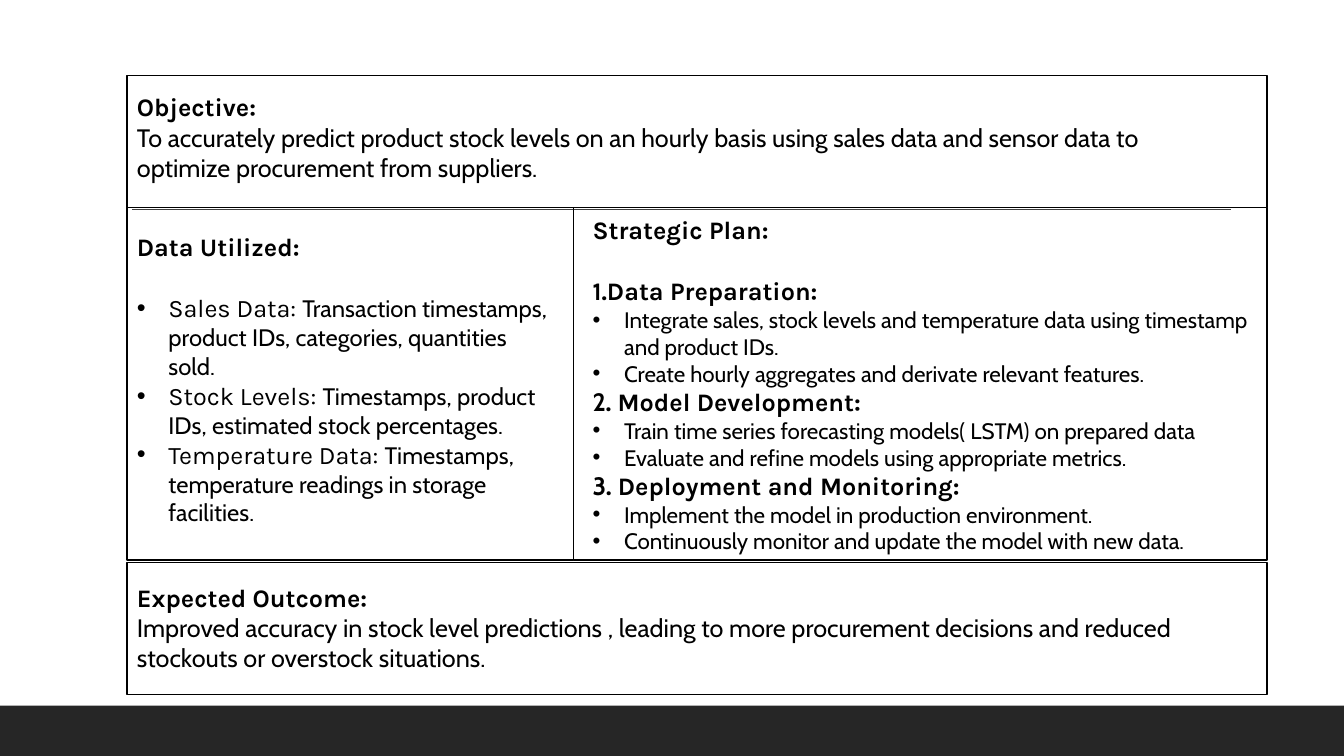
from collections import namedtuple
from dataclasses import dataclass

from lxml.etree import SubElement
from pptx import Presentation
from pptx.dml.color import RGBColor
from pptx.enum.shapes import MSO_CONNECTOR, MSO_SHAPE
from pptx.enum.text import MSO_ANCHOR, MSO_AUTO_SIZE, PP_ALIGN
from pptx.oxml.ns import qn
from pptx.util import Pt

Box = namedtuple("Box", "left top width height")


@dataclass(frozen=True)
class Theme:
    ink: RGBColor = RGBColor(0, 0, 0)
    rule: RGBColor = RGBColor(0x40, 0x40, 0x40)
    footer: RGBColor = RGBColor(0x26, 0x26, 0x26)
    border_width: float = 1.25
    rule_width: float = 1
    bullet_indent: float = 22.5
    blank_line: float = 22


THEME = Theme()
FORMATS = {
    "heading": {"name": "Karla", "size": Pt(18), "bold": True},
    "number": {"name": "Cabin", "size": Pt(18), "bold": True},
    "label": {"name": "Karla", "size": Pt(18), "bold": False},
    "body": {"name": "Cabin", "size": Pt(18), "bold": False},
    "detail": {"name": "Cabin", "size": Pt(17), "bold": False},
    "step": {"name": "Cabin", "size": Pt(16), "bold": False},
}
FRAME_FORMAT = {
    "word_wrap": True,
    "auto_size": MSO_AUTO_SIZE.SHAPE_TO_FIT_TEXT,
    "vertical_anchor": MSO_ANCHOR.TOP,
}

SLIDE_WIDTH, SLIDE_HEIGHT = 960, 540
FOOTER_HEIGHT = 36
LEFT, TOP, WIDTH = 90.7, 54, 814.3
BAND_HEIGHT, MIDDLE_HEIGHT = 94.3, 252
DATA_WIDTH = 319
MIDDLE_TOP = TOP + BAND_HEIGHT
OUTCOME_TOP = MIDDLE_TOP + MIDDLE_HEIGHT + 1.5

DATA_ITEMS = [
    ("Sales Data: ", "Transaction timestamps, product IDs, categories, quantities sold."),
    ("Stock Levels: ", "Timestamps, product IDs, estimated stock percentages."),
    ("Temperature Data: ", "Timestamps, temperature readings in storage facilities."),
]
PLAN_STEPS = [
    ([("heading", "1.Data Preparation:")], [
        "Integrate sales, stock levels and temperature data using timestamp and product IDs.",
        "Create hourly aggregates and derivate relevant features.",
    ]),
    ([("number", "2"), ("heading", ". Model Development:")], [
        "Train time series forecasting models( LSTM) on prepared data",
        "Evaluate and refine models using appropriate metrics.",
    ]),
    ([("number", "3"), ("heading", ". Deployment and Monitoring:")], [
        "Implement the model in production environment.",
        "Continuously monitor and update the model with new data.",
    ]),
]


def in_points(values):
    return [Pt(value) for value in values]


def add_rectangle(slide, box, fill=None):
    shape = slide.shapes.add_shape(MSO_SHAPE.RECTANGLE, *in_points(box))
    shape.shadow.inherit = False
    if fill is None:
        shape.fill.background()
        shape.line.color.rgb = THEME.ink
        shape.line.width = Pt(THEME.border_width)
    else:
        shape.fill.solid()
        shape.fill.fore_color.rgb = fill
        shape.line.fill.background()


def add_text(slide, box):
    frame = slide.shapes.add_textbox(*in_points(box)).text_frame
    for attribute, value in FRAME_FORMAT.items():
        setattr(frame, attribute, value)
    return frame


def add_paragraph(frame, runs, bullet=False, space_before=0):
    first = frame.paragraphs[0]
    paragraph = frame.add_paragraph() if first.runs else first
    paragraph.alignment = PP_ALIGN.LEFT
    paragraph.space_before = Pt(space_before)
    if bullet:
        properties = paragraph._p.get_or_add_pPr()
        properties.set("marL", str(Pt(THEME.bullet_indent)))
        properties.set("indent", str(-Pt(THEME.bullet_indent)))
        SubElement(properties, qn("a:buFont")).set("typeface", "Arial")
        SubElement(properties, qn("a:buChar")).set("char", "•")
    for style, text in runs:
        run = paragraph.add_run()
        run.text = text
        run.font.color.rgb = THEME.ink
        for attribute, value in FORMATS[style].items():
            setattr(run.font, attribute, value)


def add_backdrop(slide, box):
    footer = Box(box.left, box.top + box.height - FOOTER_HEIGHT, box.width, FOOTER_HEIGHT)
    add_rectangle(slide, footer, THEME.footer)
    rule_top = Pt(149.8)
    rule = slide.shapes.add_connector(
        MSO_CONNECTOR.STRAIGHT, Pt(94.3), rule_top, Pt(879.1), rule_top
    )
    rule.line.color.rgb = THEME.rule
    rule.line.width = Pt(THEME.rule_width)
    SubElement(rule._element.spPr, qn("a:effectLst"))


def add_statement(slide, box, text_top, text_width, heading, body):
    add_rectangle(slide, box)
    frame = add_text(slide, Box(box.left, box.top + text_top, text_width, 72.7))
    add_paragraph(frame, [("heading", heading)])
    add_paragraph(frame, [("body", body)])


def add_data_utilized(slide, box):
    add_rectangle(slide, box)
    frame = add_text(slide, Box(box.left, box.top + 13.7, box.width - 5, 219.6))
    add_paragraph(frame, [("heading", "Data Utilized:")])
    for index, (label, detail) in enumerate(DATA_ITEMS):
        gap = 0 if index else THEME.blank_line
        add_paragraph(frame, [("label", label), ("detail", detail)], True, gap)


def add_strategic_plan(slide, box):
    add_rectangle(slide, box)
    frame = add_text(slide, Box(box.left + 6.5, box.top + 1.5, box.width, box.height))
    add_paragraph(frame, [("heading", "Strategic Plan:")])
    for index, (title, actions) in enumerate(PLAN_STEPS):
        add_paragraph(frame, title, space_before=0 if index else THEME.blank_line)
        for action in actions:
            add_paragraph(frame, [("step", action)], True)


def main():
    presentation = Presentation()
    presentation.slide_width = Pt(SLIDE_WIDTH)
    presentation.slide_height = Pt(SLIDE_HEIGHT)
    slide = presentation.slides.add_slide(presentation.slide_layouts[6])
    add_backdrop(slide, Box(0, 0, SLIDE_WIDTH, SLIDE_HEIGHT))
    add_statement(
        slide, Box(LEFT, TOP, WIDTH, BAND_HEIGHT), 7.9, 785.5, "Objective:",
        "To accurately predict product stock levels on an hourly basis using sales data "
        "and sensor data to optimize procurement from suppliers.",
    )
    add_data_utilized(slide, Box(LEFT, MIDDLE_TOP, DATA_WIDTH, MIDDLE_HEIGHT))
    add_strategic_plan(
        slide, Box(LEFT + DATA_WIDTH, MIDDLE_TOP, WIDTH - DATA_WIDTH, MIDDLE_HEIGHT)
    )
    add_statement(
        slide, Box(LEFT, OUTCOME_TOP, WIDTH, BAND_HEIGHT), 10.3, 792, "Expected Outcome:",
        "Improved accuracy in stock level predictions , leading to more procurement "
        "decisions and reduced stockouts or overstock situations.",
    )
    presentation.save("out.pptx")


if __name__ == "__main__":
    main()
